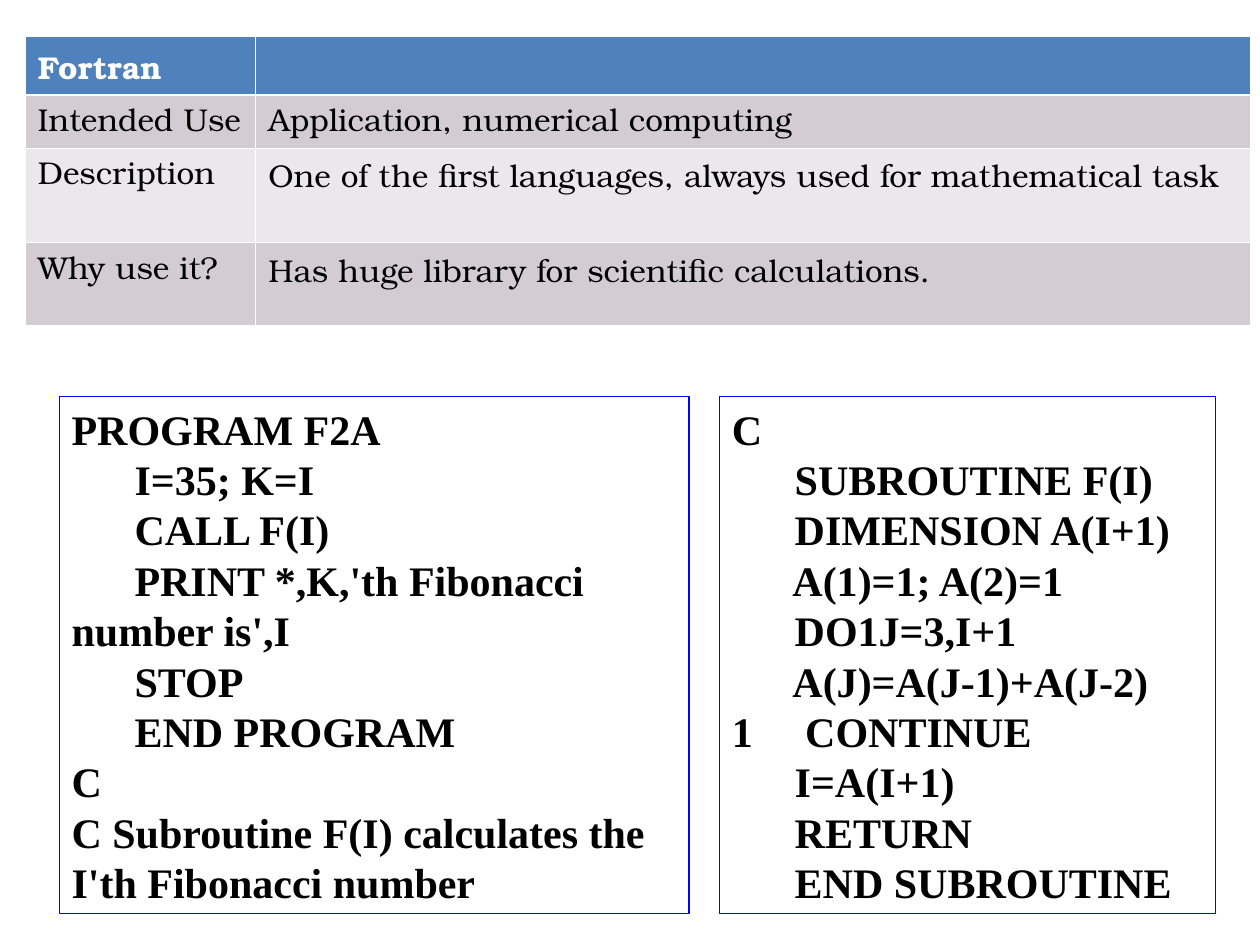
from lxml import etree
from pptx import Presentation
from pptx.dml.color import RGBColor
from pptx.enum.shapes import MSO_SHAPE
from pptx.enum.text import MSO_ANCHOR, PP_ALIGN
from pptx.oxml.ns import qn
from pptx.util import Inches, Pt

RECTANGLE = MSO_SHAPE.RECTANGLE
TOP, LEFT = MSO_ANCHOR.TOP, PP_ALIGN.LEFT
WHITE = RGBColor(0xFF, 0xFF, 0xFF)
BLACK = RGBColor(0, 0, 0)
BLUE = RGBColor(0, 0, 0xFF)
HEADER = RGBColor(0x4F, 0x81, 0xBD)
BANDS = [RGBColor(0xEA, 0xE8, 0xEA), RGBColor(0xD3, 0xCD, 0xD3)]
TABLE_FONT, CODE_FONT = "TeX Gyre Bonum", "Times New Roman"

ROWS = [
    ("Fortran", ""),
    ("Intended Use", "Application, numerical computing"),
    ("Description", "One of the first languages, always used for mathematical task"),
    ("Why use it?", "Has huge library for scientific calculations."),
]
COL_WIDTHS = [1.83, 7.89]
ROW_HEIGHTS = [0.44, 0.42, 0.75, 0.66]
TIGHT_CELLS = {(1, 0), (1, 1), (2, 0), (3, 0)}

MAIN_CODE = """PROGRAM F2A
      I=35; K=I
      CALL F(I)
      PRINT *,K,'th Fibonacci number is',I
      STOP
      END PROGRAM
C
C Subroutine F(I) calculates the I'th Fibonacci number"""
SUBROUTINE_CODE = """C
      SUBROUTINE F(I)
      DIMENSION A(I+1)
      A(1)=1; A(2)=1
      DO1J=3,I+1
      A(J)=A(J-1)+A(J-2)
1     CONTINUE
      I=A(I+1)
      RETURN
      END SUBROUTINE"""
CODE_BOXES = [(0.47, 5, MAIN_CODE), (5.71, 3.94, SUBROUTINE_CODE)]


def style(p, name, size, color, bold):
    for r in p.runs:
        r.font.name, r.font.size, r.font.bold = name, Pt(size), bold
        r.font.color.rgb = color


def add_borders(cell, row):
    tc_pr = cell._tc.get_or_add_tcPr()
    for side in "LRTB":
        thick = (row, side) in {(0, "B"), (1, "T")}
        ln = etree.SubElement(tc_pr, qn(f"a:ln{side}"), w=str(Pt(1.47 if thick else 0.45)))
        fill = etree.SubElement(ln, qn("a:solidFill"))
        etree.SubElement(fill, qn("a:srgbClr"), val=str(WHITE))


def add_language_table(s):
    frame = s.shapes.add_table(len(ROWS), len(COL_WIDTHS), Inches(0.2), Inches(0.29),
                               Inches(sum(COL_WIDTHS)), Inches(sum(ROW_HEIGHTS)))
    table = frame.table
    for column, width in zip(table.columns, COL_WIDTHS):
        column.width = Inches(width)
    for i, (texts, height) in enumerate(zip(ROWS, ROW_HEIGHTS)):
        table.rows[i].height = Inches(height)
        for j, text in enumerate(texts):
            cell = table.cell(i, j)
            add_borders(cell, i)
            cell.fill.solid()
            cell.fill.fore_color.rgb = BANDS[i % 2] if i else HEADER
            p = cell.text_frame.paragraphs[0]
            p.text = text
            p.font.size = Pt(18)
            if (i, j) in TIGHT_CELLS:
                p.line_spacing = 0.9
            style(p, TABLE_FONT, 18, BLACK if i else WHITE, i == 0)


def add_code_box(s, left, width, code):
    sp = s.shapes.add_shape(RECTANGLE, Inches(left), Inches(3.15), Inches(width), Inches(4.1))
    sp.shadow.inherit = False
    sp.fill.background()
    sp.line.color.rgb = BLUE
    sp.line.width = Pt(0.75)
    tf = sp.text_frame
    tf.word_wrap = True
    tf.vertical_anchor = TOP
    tf.text = code
    for p in tf.paragraphs:
        p.alignment = LEFT
        style(p, CODE_FONT, 24, BLACK, True)


def main():
    """Build the Fortran overview slide with its table and code listing."""
    prs = Presentation()
    prs.slide_width, prs.slide_height = Inches(10), Inches(7.5)
    s = prs.slides.add_slide(prs.slide_layouts[6])
    for left, width, code in CODE_BOXES:
        add_code_box(s, left, width, code)
    add_language_table(s)
    prs.save("out.pptx")


if __name__ == "__main__":
    main()
